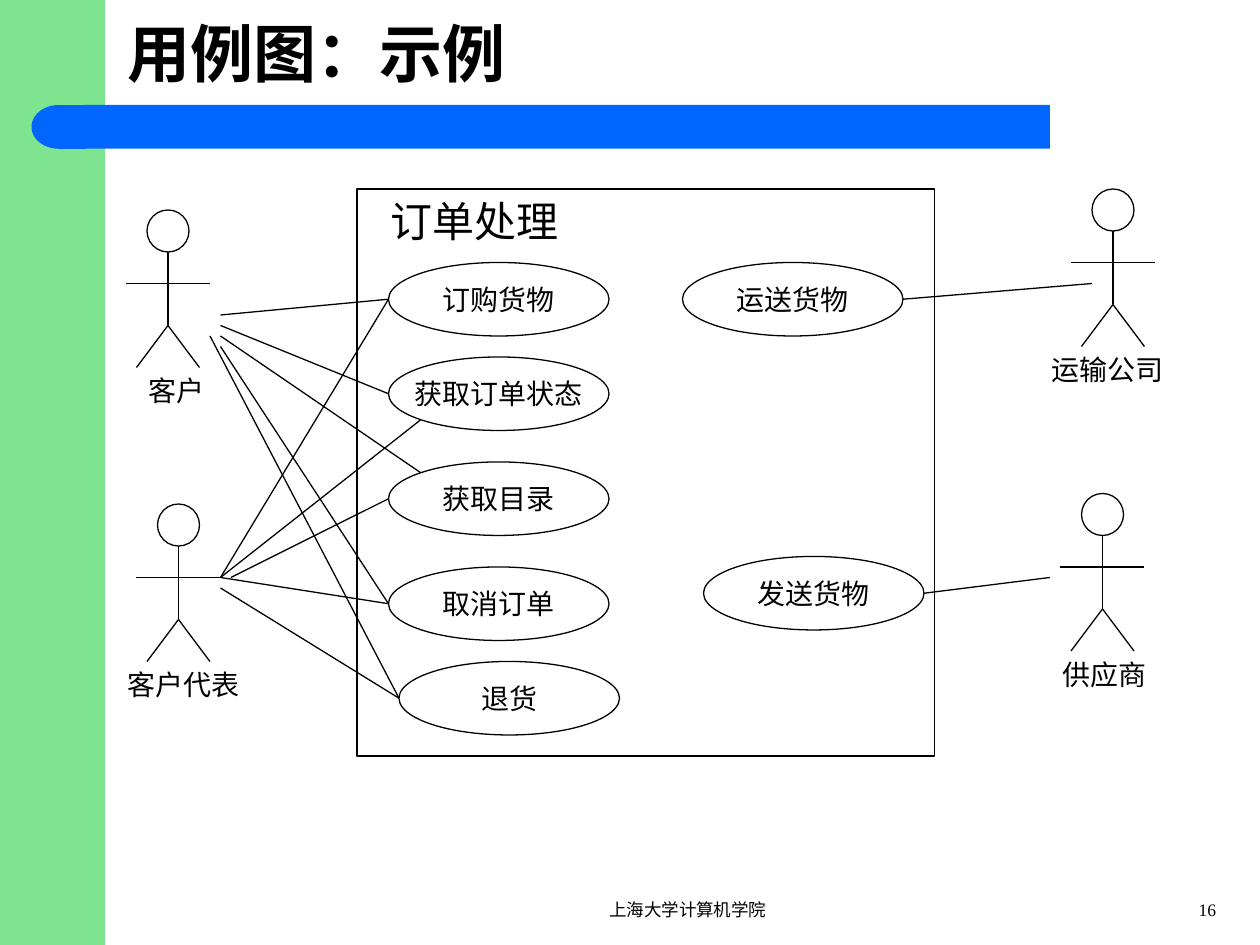
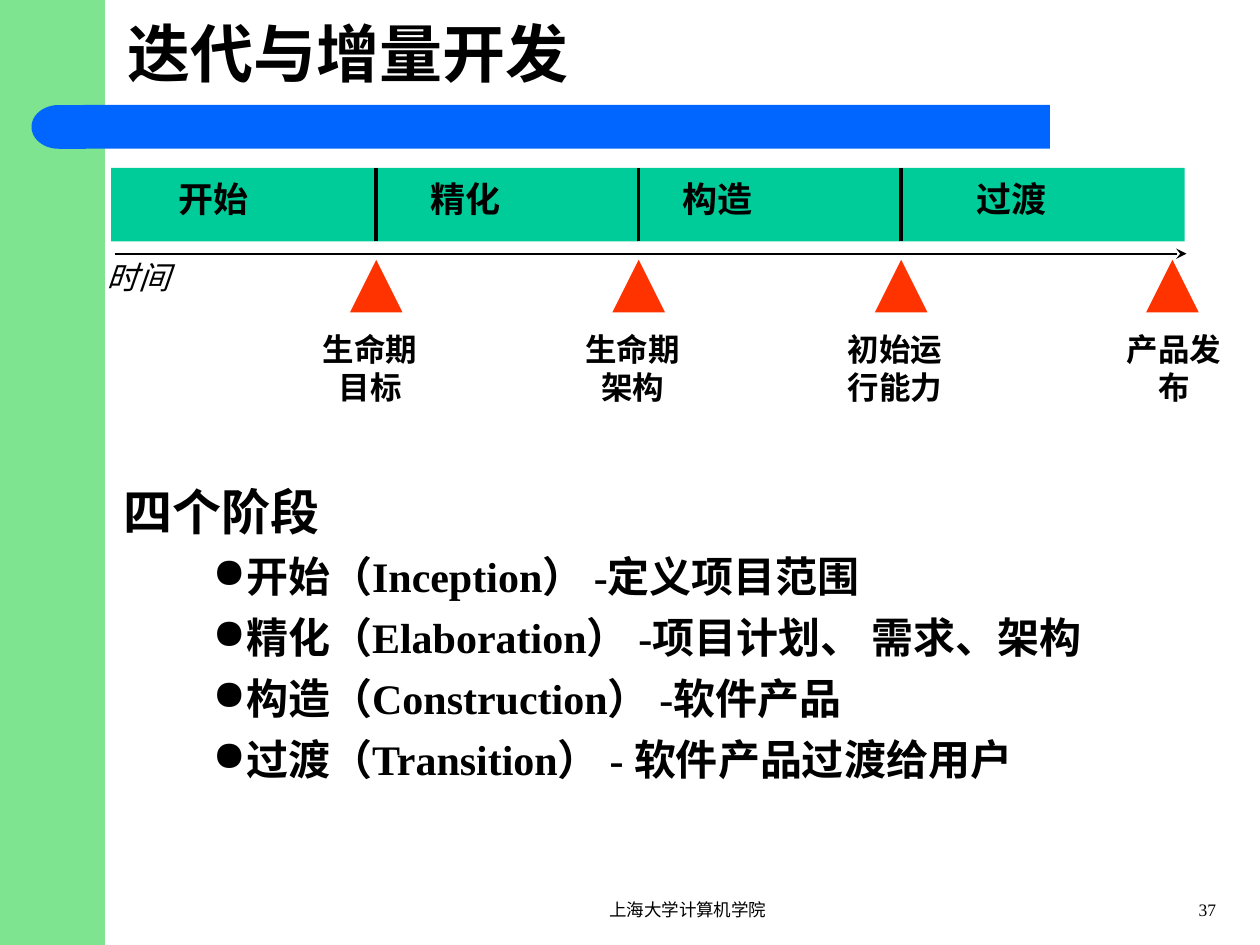
"""Build two course slides: a use case diagram and the phases of iterative development."""
from dataclasses import dataclass
from math import cos, radians, sin

from lxml import etree
from pptx import Presentation
from pptx.dml.color import RGBColor
from pptx.enum.lang import MSO_LANGUAGE_ID
from pptx.enum.shapes import MSO_CONNECTOR, MSO_SHAPE
from pptx.enum.text import MSO_ANCHOR, PP_ALIGN
from pptx.oxml.ns import qn
from pptx.util import Pt

RECTANGLE, OVAL = MSO_SHAPE.RECTANGLE, MSO_SHAPE.OVAL
TRIANGLE, DELAY = MSO_SHAPE.ISOSCELES_TRIANGLE, MSO_SHAPE.FLOWCHART_DELAY
STRAIGHT = MSO_CONNECTOR.STRAIGHT
LEFT, CENTER, RIGHT = PP_ALIGN.LEFT, PP_ALIGN.CENTER, PP_ALIGN.RIGHT
TOP, MIDDLE = MSO_ANCHOR.TOP, MSO_ANCHOR.MIDDLE
CHINESE = MSO_LANGUAGE_ID.SIMPLIFIED_CHINESE
BLANK_LAYOUT = 6


@dataclass(frozen=True)
class Theme:
    """Colours, fonts and type sizes of the deck."""
    ink: str = "000000"
    side_band: str = "7EE48F"
    title_bar: str = "0066FF"
    phase_band: str = "00CC99"
    milestone: str = "FF3300"
    serif: str = "Times New Roman"
    sans: str = "Arial"
    title: int = 36
    heading: int = 28
    body: int = 24
    phase: int = 20
    note: int = 18
    label: int = 16
    footer: int = 10
    thin: float = 0.75


THEME = Theme()

USE_CASES = {
    "订购货物": (222, 150),
    "获取订单状态": (222, 204),
    "获取目录": (222, 264),
    "取消订单": (222, 324),
    "退货": (228, 378),
    "运送货物": (390, 150),
    "发送货物": (402, 318),
}
CASE_WIDTH, CASE_HEIGHT = 126, 42
WEST, NORTH_WEST, SOUTH_WEST, EAST = 180, 225, 135, 0

ACTORS = [
    ("客户", 96, 120, 78),
    ("客户代表", 102, 288, 66),
    ("运输公司", 636, 108, 594),
    ("供应商", 630, 282, 600),
]
LINKS = [
    (126, 180, "订购货物", WEST),
    (126, 186, "获取订单状态", WEST),
    (126, 192, "获取目录", NORTH_WEST),
    (126, 198, "取消订单", WEST),
    (120, 192, "退货", WEST),
    (126, 330, "订购货物", WEST),
    (126, 330, "获取订单状态", SOUTH_WEST),
    (126, 336, "退货", WEST),
    (132, 330, "获取目录", WEST),
    (126, 330, "取消订单", WEST),
    (624, 162, "运送货物", EAST),
    (600, 330, "发送货物", EAST),
]

PHASES = [("开始", 95), ("精化", 239), ("构造", 383), ("过渡", 551)]
DIVIDERS = [215 + 150 * step for step in range(3)]
MILESTONES = [
    ("生命期目标", DIVIDERS[0], 211.5),
    ("生命期架构", DIVIDERS[1], 361.5),
    ("初始运行能力", DIVIDERS[2], 511.5),
    ("产品发布", 670, 671),
]
PHASE_NOTES = [
    "开始（Inception） -定义项目范围",
    "精化（Elaboration） -项目计划、 需求、架构",
    "构造（Construction） -软件产品",
    "过渡（Transition） - 软件产品过渡给用户",
]


def color(value):
    """Turn a hex string into a colour."""
    return RGBColor.from_string(value)


def style_para(para, text, size, family=THEME.serif, bold=False, italic=False, align=LEFT):
    """Fill one paragraph and set its font."""
    para.text = text
    para.alignment = align
    font = para.font
    font.name, font.size = family, Pt(size)
    font.bold, font.italic = bold, italic
    font.color.rgb = color(THEME.ink)
    font.language_id = CHINESE


def add_text(page, text, left, top, width, height, size, anchor=TOP, wrap=True, **style):
    """Add a one-paragraph text box."""
    frame = page.shapes.add_textbox(Pt(left), Pt(top), Pt(width), Pt(height)).text_frame
    frame.word_wrap = wrap
    frame.vertical_anchor = anchor
    style_para(frame.paragraphs[0], text, size, **style)
    return frame


def add_block(page, kind, left, top, width, height, fill=None):
    """Add a filled shape without outline, or an outlined shape without fill."""
    shape = page.shapes.add_shape(kind, Pt(left), Pt(top), Pt(width), Pt(height))
    shape.shadow.inherit = False
    if fill:
        shape.fill.solid()
        shape.fill.fore_color.rgb = color(fill)
        shape.line.fill.background()
    else:
        shape.fill.background()
        shape.line.color.rgb = color(THEME.ink)
        shape.line.width = Pt(THEME.thin)
    return shape


def add_line(page, x1, y1, x2, y2, width=THEME.thin, arrow=False):
    """Add a straight line, with a stealth arrowhead at its end on request."""
    line = page.shapes.add_connector(STRAIGHT, Pt(x1), Pt(y1), Pt(x2), Pt(y2))
    line.line.color.rgb = color(THEME.ink)
    line.line.width = Pt(width)
    if arrow:
        etree.SubElement(line.line._get_or_add_ln(), qn("a:tailEnd"), type="stealth")
    etree.SubElement(line._element.spPr, qn("a:effectLst"))


def add_page(deck, title, number):
    """Add a slide with the shared bands, title and footer."""
    page = deck.slides.add_slide(deck.slide_layouts[BLANK_LAYOUT])
    add_block(page, RECTANGLE, 0, 0, 60, 540, THEME.side_band)
    add_block(page, RECTANGLE, 48, 60, 552, 25, THEME.title_bar)
    add_block(page, DELAY, 18, 60, 31, 25, THEME.title_bar).rotation = 180
    add_text(page, title, 66, 0, 624, 60, THEME.title, anchor=MIDDLE, bold=True)
    add_text(page, "上海大学计算机学院", 270, 510, 246, 18, THEME.footer, align=CENTER)
    add_text(page, str(number), 648, 510, 54, 18, THEME.footer, align=RIGHT)
    return page


def add_actor(page, name, center, top, label_left):
    """Draw a stick figure with its name below."""
    add_block(page, OVAL, center - 12, top, 24, 24)
    hip, foot = top + 66, top + 90
    add_line(page, center - 24, top + 42, center + 24, top + 42)
    add_line(page, center, top + 24, center, hip)
    for side in (-18, 18):
        add_line(page, center, hip, center + side, foot)
    add_text(page, name, label_left, foot, 90, 27, THEME.label)


def add_use_case(page, name, left, top):
    """Draw a use case ellipse."""
    frame = add_block(page, OVAL, left, top, CASE_WIDTH, CASE_HEIGHT).text_frame
    frame.word_wrap = False
    frame.vertical_anchor = MIDDLE
    style_para(frame.paragraphs[0], name, THEME.label, align=CENTER)


def add_link(page, x, y, case, angle):
    """Join a point beside an actor to the rim of a use case."""
    left, top = USE_CASES[case]
    rim_x = left + CASE_WIDTH / 2 * (1 + cos(radians(angle)))
    rim_y = top + CASE_HEIGHT / 2 * (1 + sin(radians(angle)))
    add_line(page, x, y, rim_x, rim_y)


def add_bullet(frame, text):
    """Append a bulleted paragraph."""
    para = frame.add_paragraph()
    props = para._p.get_or_add_pPr()
    props.set("marL", str(Pt(69)))
    props.set("indent", str(Pt(-18)))
    para.space_before = Pt(6)
    bullet_color = etree.SubElement(props, qn("a:buClr"))
    etree.SubElement(bullet_color, qn("a:srgbClr"), val=THEME.ink)
    etree.SubElement(props, qn("a:buChar"), char="●")
    style_para(para, text, THEME.body, bold=True)


def build_use_case_page(deck):
    """Build the use case diagram of order handling."""
    page = add_page(deck, "用例图：示例", 16)
    add_block(page, RECTANGLE, 204, 108, 330, 324)
    add_text(page, "订单处理", 216, 108, 144, 36, THEME.body)
    for name, (left, top) in USE_CASES.items():
        add_use_case(page, name, left, top)
    for actor in ACTORS:
        add_actor(page, *actor)
    for link in LINKS:
        add_link(page, *link)


def build_phase_page(deck):
    """Build the timeline of phases and milestones with its notes."""
    page = add_page(deck, "迭代与增量开发", 37)
    add_block(page, RECTANGLE, 63.5, 96, 613.5, 42, THEME.phase_band)
    for x in DIVIDERS:
        add_line(page, x, 138, x, 96, width=2)
    for name, left in PHASES:
        add_text(page, name, left, 98, 80, 31, THEME.phase, family=THEME.sans, bold=True)
    add_line(page, 65.5, 145, 678, 145, width=1, arrow=True)
    add_text(page, "时间", 54, 144, 70, 29, THEME.note, family=THEME.sans, italic=True)
    for name, tip, center in MILESTONES:
        add_block(page, TRIANGLE, tip - 15, 148.5, 30, 30, THEME.milestone)
        add_text(page, name, center - 43, 185, 86, 29, THEME.note, wrap=False,
                 family=THEME.sans, bold=True, align=CENTER)
    notes = add_text(page, "四个阶段", 63.5, 271.5, 632, 223, THEME.heading, bold=True)
    for note in PHASE_NOTES:
        add_bullet(notes, note)


def main():
    """Build and save the deck."""
    deck = Presentation()
    deck.slide_width, deck.slide_height = Pt(720), Pt(540)
    build_use_case_page(deck)
    build_phase_page(deck)
    deck.save("out.pptx")


if __name__ == "__main__":
    main()
